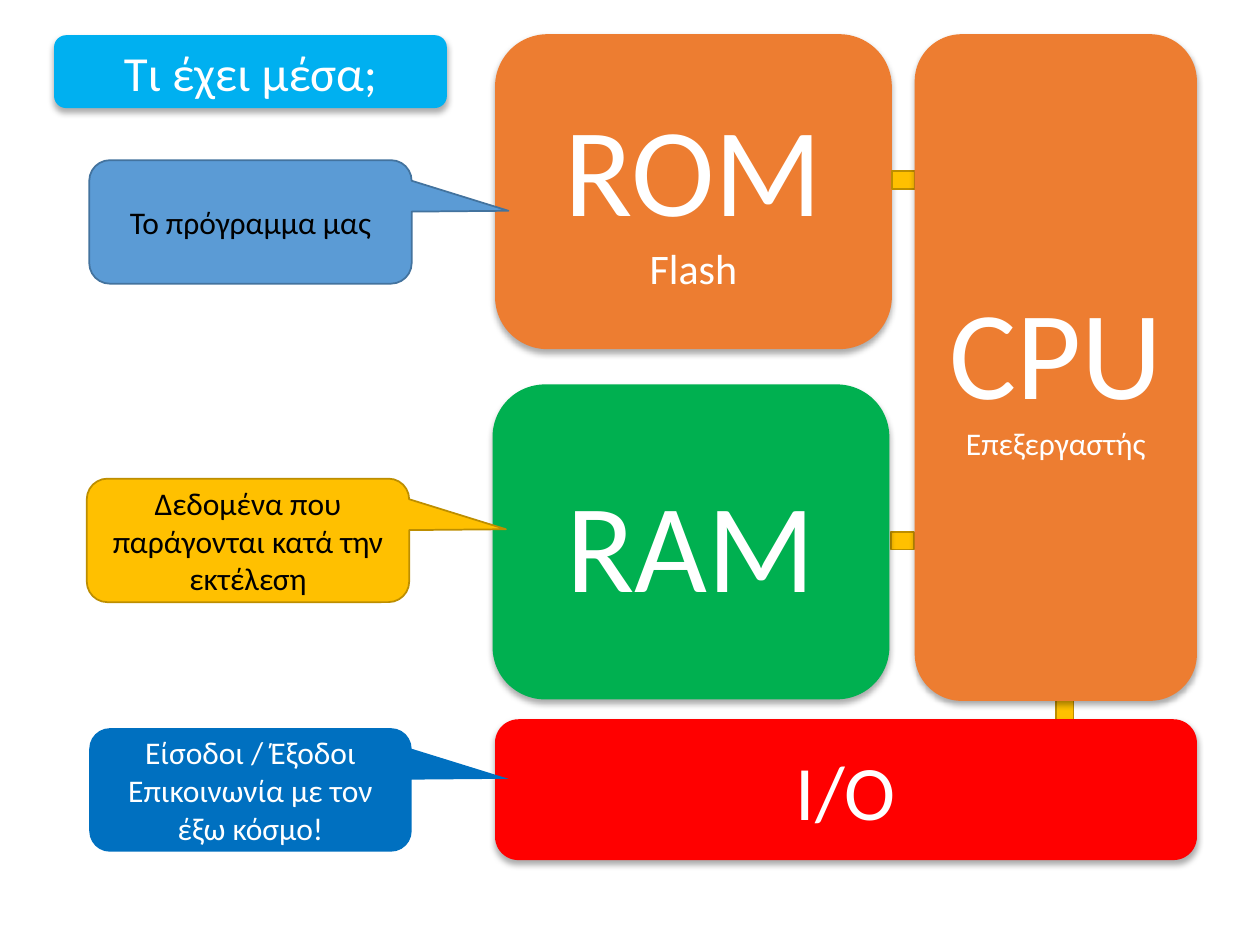
from dataclasses import dataclass
from typing import Optional

from lxml import etree
from pptx import Presentation
from pptx.dml.color import RGBColor
from pptx.enum import shapes, text
from pptx.oxml import ns
from pptx.util import Cm, Pt

ORANGE = RGBColor(0xED, 0x7D, 0x31)
GREEN = RGBColor(0x00, 0xB0, 0x50)
RED = RGBColor(0xFF, 0x00, 0x00)
SKY = RGBColor(0x00, 0xB0, 0xF0)
BLUE = RGBColor(0x00, 0x70, 0xC0)
STEEL = RGBColor(0x5B, 0x9B, 0xD5)
STEEL_EDGE = RGBColor(0x43, 0x73, 0x9E)
GOLD = RGBColor(0xFF, 0xC0, 0x00)
GOLD_EDGE = RGBColor(0xBD, 0x8E, 0x00)
WHITE = RGBColor(0xFF, 0xFF, 0xFF)
BLACK = RGBColor(0x00, 0x00, 0x00)

FONT = "Calibri"
MEMORY_WIDTH, MEMORY_HEIGHT = 8, 6.35
CALLOUT_WIDTH, CALLOUT_HEIGHT = 6.5, 2.49
BUS_LENGTH, BUS_THICKNESS = 0.46, 0.36


@dataclass(frozen=True)
class Line:
    words: str
    size: int


@dataclass(frozen=True)
class Block:
    """A shadowed rounded box; lengths in centimetres."""
    left: float
    top: float
    width: float
    height: float
    fill: RGBColor
    lines: tuple[Line, ...]


@dataclass(frozen=True)
class Callout:
    left: float
    top: float
    fill: RGBColor
    edge: Optional[RGBColor]
    ink: RGBColor
    lines: tuple[Line, ...]


@dataclass(frozen=True)
class Bus:
    """A short link between two blocks."""
    left: float
    top: float
    rotation: int = 0


def add_box(parent, kind, left: float, top: float, width: float, height: float,
            fill: RGBColor, edge: Optional[RGBColor] = None):
    box = parent.add_shape(kind, Cm(left), Cm(top), Cm(width), Cm(height))
    box.shadow.inherit = False
    box.fill.solid()
    box.fill.fore_color.rgb = fill
    if edge is None:
        box.line.fill.background()
    else:
        box.line.color.rgb = edge
        box.line.width = Pt(1)
    return box


def write_lines(box, lines: tuple[Line, ...], ink: RGBColor) -> None:
    frame = box.text_frame
    frame.word_wrap = True
    frame.vertical_anchor = text.MSO_ANCHOR.MIDDLE
    for index, line in enumerate(lines):
        para = frame.add_paragraph() if index else frame.paragraphs[0]
        para.alignment = text.PP_ALIGN.CENTER
        span = para.add_run()
        span.text = line.words
        span.font.name = FONT
        span.font.size = Pt(line.size)
        span.font.color.rgb = ink


def cast_shadow(box) -> None:
    effects = box._element.spPr.find(ns.qn("a:effectLst"))
    shadow = etree.SubElement(effects, ns.qn("a:outerShdw"), blurRad=str(Pt(3.5)),
                              dist=str(Pt(2.2)), dir="5400000", rotWithShape="0")
    color = etree.SubElement(shadow, ns.qn("a:srgbClr"), val=str(BLACK))
    etree.SubElement(color, ns.qn("a:alpha"), val="32000")


def draw_block(parent, block: Block) -> None:
    box = add_box(parent, shapes.MSO_SHAPE.ROUNDED_RECTANGLE, block.left, block.top,
                  block.width, block.height, block.fill)
    cast_shadow(box)
    write_lines(box, block.lines, WHITE)


def draw_callout(parent, callout: Callout) -> None:
    box = add_box(parent, shapes.MSO_SHAPE.ROUNDED_RECTANGULAR_CALLOUT, callout.left,
                  callout.top, CALLOUT_WIDTH, CALLOUT_HEIGHT, callout.fill, callout.edge)
    box.adjustments[0] = 0.8
    box.adjustments[1] = -0.09
    write_lines(box, callout.lines, callout.ink)


def draw_bus(parent, bus: Bus) -> None:
    box = add_box(parent, shapes.MSO_SHAPE.RECTANGLE, bus.left, bus.top,
                  BUS_LENGTH, BUS_THICKNESS, GOLD, GOLD_EDGE)
    box.rotation = bus.rotation


DRAW = {Block: draw_block, Callout: draw_callout, Bus: draw_bus}

ROM = (
    Block(9.98, 0.69, MEMORY_WIDTH, MEMORY_HEIGHT, ORANGE,
          (Line("ROM", 72), Line("Flash", 24))),
    Bus(17.98, 3.45),
)
PROGRAM = Callout(1.8, 3.23, STEEL, STEEL_EDGE, BLACK, (Line("To πρόγραμμα μας", 18),))
RAM = (
    Bus(17.96, 10.72),
    Block(9.93, 7.75, MEMORY_WIDTH, MEMORY_HEIGHT, GREEN, (Line("RAM", 72),)),
    Callout(1.75, 9.65, GOLD, GOLD_EDGE, BLACK,
            (Line("Δεδομένα που παράγονται κατά την εκτέλεση", 18),)),
)
CPU = (
    Bus(21.23, 14.17, 90),
    Block(18.44, 0.69, 5.69, 13.44, ORANGE,
          (Line("CPU", 72), Line("Επεξεργαστής", 18))),
)
PORTS = (
    Block(9.98, 14.5, 14.15, 2.84, RED, (Line("I/O", 44),)),
    Callout(1.8, 14.68, BLUE, None, WHITE,
            (Line("Είσοδοι / Έξοδοι", 18), Line("Επικοινωνία με τον έξω κόσμο!", 18))),
)
TITLE = Block(1.09, 0.71, 7.92, 1.47, SKY, (Line("Τι έχει μέσα;", 28),))


def main() -> None:
    deck = Presentation()
    deck.slide_width, deck.slide_height = Cm(25.4), Cm(19.05)
    page = deck.slides.add_slide(deck.slide_layouts[6])
    for item in (ROM, PROGRAM, RAM, CPU, PORTS, TITLE):
        if isinstance(item, tuple):
            group = page.shapes.add_group_shape()
            for part in item:
                DRAW[type(part)](group.shapes, part)
        else:
            DRAW[type(item)](page.shapes, item)
    deck.save("out.pptx")


if __name__ == "__main__":
    main()
